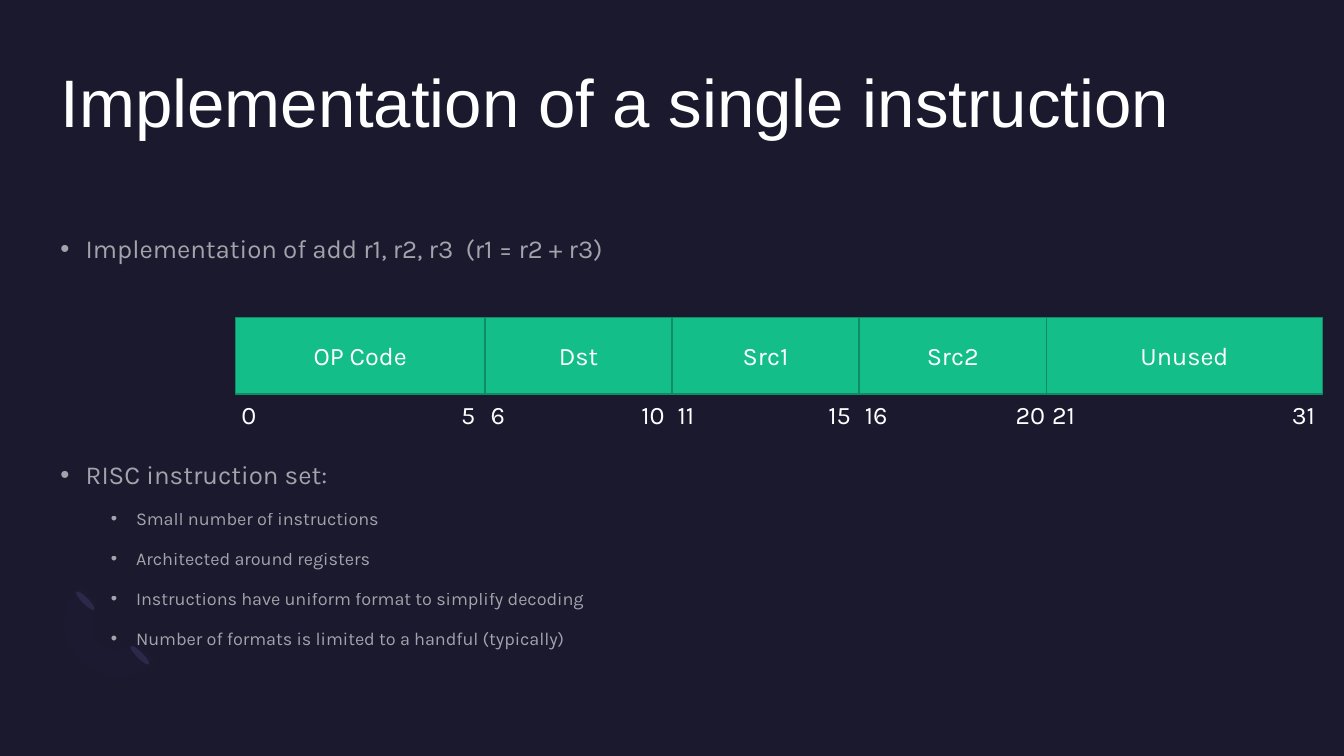
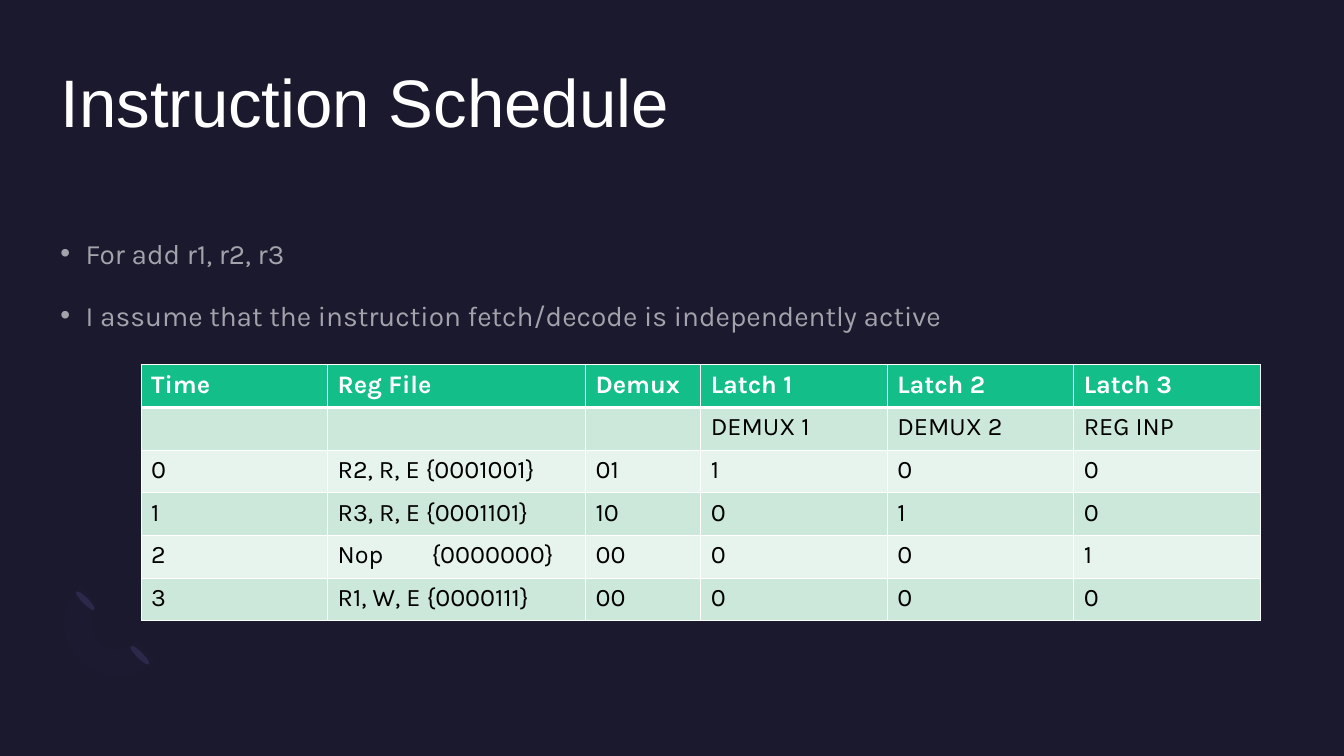
from dataclasses import dataclass
from math import cos, radians, sin

from lxml import etree
from pptx import Presentation
from pptx.dml.color import RGBColor
from pptx.enum.shapes import MSO_SHAPE
from pptx.enum.text import MSO_ANCHOR, MSO_AUTO_SIZE, PP_ALIGN
from pptx.oxml.ns import qn
from pptx.util import Pt

RECTANGLE, OVAL = MSO_SHAPE.RECTANGLE, MSO_SHAPE.OVAL
TOP, MIDDLE = MSO_ANCHOR.TOP, MSO_ANCHOR.MIDDLE
LEFT, CENTER = PP_ALIGN.LEFT, PP_ALIGN.CENTER
NO_AUTOFIT = MSO_AUTO_SIZE.NONE


@dataclass(frozen=True)
class Theme:
    """Colours, fonts and type sizes of the deck."""
    background: str = "1B192E"
    tube_end: str = "2C284A"
    tube: str = "7771B2"
    accent: str = "13BE89"
    accent_edge: str = "0E8D65"
    light: str = "FFFFFF"
    dark: str = "000000"
    bands: tuple = ("CCE8DA", "E7F4ED")
    title_font: str = "Arial"
    font: str = "Karla"
    title_size: float = 48
    text_size: float = 18
    sub_size: float = 12.9
    bullet_alpha: int = 60


THEME = Theme()
TITLE_BOX = (43.2, 43.2, 873.6, 105)
BODY_BOX = (43.2, 166.3, 873.6, 313.2)


def points(*lengths):
    """Convert numbers to point lengths."""
    return [Pt(length) for length in lengths]


def set_alpha(fill, percent):
    """Make a solid fill or font fill partly transparent."""
    color = fill._xPr.find(qn("a:solidFill"))[0]
    etree.SubElement(color, qn("a:alpha"), val=str(percent * 1000))


def write(paragraph, text, size=THEME.text_size, font=THEME.font,
          color=THEME.light, bold=False, alpha=None, align=LEFT):
    """Add formatted text to a paragraph."""
    paragraph.alignment = align
    run = paragraph.add_run()
    run.text = text
    run.font.size, run.font.name, run.font.bold = Pt(size), font, bold
    run.font.color.rgb = RGBColor.from_string(color)
    if alpha:
        set_alpha(run.font.fill, alpha)


def paint(shape, color, edge=None):
    """Give a shape a flat fill and an optional thin edge."""
    shape.shadow.inherit = False
    shape.fill.solid()
    shape.fill.fore_color.rgb = RGBColor.from_string(color)
    if edge:
        shape.line.color.rgb = RGBColor.from_string(edge)
        shape.line.width = Pt(1)
    else:
        shape.line.fill.background()


def fit_placeholder(placeholder, box):
    """Move a placeholder to a box and return its cleared text frame."""
    (placeholder.left, placeholder.top,
     placeholder.width, placeholder.height) = points(*box)
    frame = placeholder.text_frame
    frame.margin_left = frame.margin_right = 0
    frame.margin_top = frame.margin_bottom = 0
    frame.word_wrap = True
    frame.auto_size = NO_AUTOFIT
    frame.vertical_anchor = TOP
    return frame


def decorate_layout(layout, slide, center_x, center_y):
    """Put the background and the bent tube on the layout, drawn via a slide."""
    layout.background.fill.solid()
    layout.background.fill.fore_color.rgb = RGBColor.from_string(THEME.background)

    def arc(radius, angles):
        return [(center_x + radius * cos(radians(a)),
                 center_y + radius * sin(radians(a))) for a in angles]

    outline = arc(38, range(45, 226, 10)) + arc(19, range(225, 44, -10))
    builder = slide.shapes.build_freeform(*outline[0], scale=Pt(1))
    builder.add_line_segments(outline[1:], close=True)
    tube = builder.convert_to_shape()
    paint(tube, THEME.tube)
    set_alpha(tube.fill, 2)
    parts = [tube]
    width, height = 4.5, 18.5
    for x, y in arc(27.5, (45, 225)):
        tube_end = slide.shapes.add_shape(
            OVAL, *points(x - 3.5 - width / 2, y + 3.5 - height / 2, width, height))
        tube_end.rotation = 135
        paint(tube_end, THEME.tube_end)
        parts.append(tube_end)
    for part in parts:
        layout.shapes.element.append(part.element)


def add_title(slide, text, box=TITLE_BOX):
    """Fill the title placeholder."""
    frame = fit_placeholder(slide.shapes.title, box)
    write(frame.paragraphs[0], text, size=THEME.title_size, font=THEME.title_font)


def add_bullets(slide, items, size, line_spacing=1.0, box=BODY_BOX):
    """Fill the body placeholder with (level, text, space before) items."""
    frame = fit_placeholder(slide.placeholders[1], box)
    for index, (level, text, before) in enumerate(items):
        paragraph = frame.add_paragraph() if index else frame.paragraphs[0]
        paragraph.level = level
        paragraph.line_spacing = line_spacing
        paragraph.space_before, paragraph.space_after = points(before, 8)
        write(paragraph, text, size=THEME.sub_size if level else size,
              alpha=THEME.bullet_alpha)
        properties = paragraph._p.get_or_add_pPr()
        properties.set("marL", str(Pt(18 + 36 * level)))
        properties.set("indent", str(-Pt(18)))
        etree.SubElement(properties, qn("a:buFont"), typeface="Arial")
        etree.SubElement(properties, qn("a:buChar"), char="•")


def add_bit_number(slide, number, left, top):
    """Place one bit number below the instruction word."""
    width = 24 if number < 10 else 39
    label = slide.shapes.add_textbox(*points(left, top, width, 29))
    label.text_frame.word_wrap = True
    write(label.text_frame.paragraphs[0], str(number))


def add_instruction_word(slide, fields, left, top, height):
    """Draw the (name, width, first bit, last bit) fields side by side."""
    for name, width, first, last in fields:
        field = slide.shapes.add_shape(RECTANGLE, *points(left, top, width, height))
        paint(field, THEME.accent, THEME.accent_edge)
        field.text_frame.vertical_anchor = MIDDLE
        write(field.text_frame.paragraphs[0], name, align=CENTER)
        right = left + width
        add_bit_number(slide, first, left - 3, top + height)
        add_bit_number(slide, last, right - (24 if last < 10 else 29), top + height)
        left = right


def set_borders(cell, top, bottom):
    """Draw white cell borders, with the given top and bottom weights."""
    properties = cell._tc.get_or_add_tcPr()
    for side, weight in (("L", 1), ("R", 1), ("T", top), ("B", bottom)):
        line = etree.SubElement(properties, qn("a:ln" + side), w=str(Pt(weight)))
        fill = etree.SubElement(line, qn("a:solidFill"))
        etree.SubElement(fill, qn("a:srgbClr"), val=THEME.light)


def add_tab_stop(paragraph, position):
    """Add a left tab stop to a paragraph."""
    stops = etree.SubElement(paragraph._p.get_or_add_pPr(), qn("a:tabLst"))
    etree.SubElement(stops, qn("a:tab"), pos=str(Pt(position)), algn="l")


def add_schedule(slide, rows, widths, left, top, row_height):
    """Draw the schedule with a header row and banded rows."""
    table = slide.shapes.add_table(
        len(rows), len(widths),
        *points(left, top, sum(widths), row_height * len(rows))).table
    table.horz_banding = False
    for column, width in zip(table.columns, widths):
        column.width = Pt(width)
    for r, row in enumerate(rows):
        table.rows[r].height = Pt(row_height)
        header = r == 0
        color = THEME.accent if header else THEME.bands[(r - 1) % 2]
        for c, text in enumerate(row):
            cell = table.cell(r, c)
            set_borders(cell, top=3 if r == 1 else 1, bottom=3 if header else 1)
            cell.fill.solid()
            cell.fill.fore_color.rgb = RGBColor.from_string(color)
            paragraph = cell.text_frame.paragraphs[0]
            if text:
                write(paragraph, text, bold=header,
                      color=THEME.light if header else THEME.dark)
            if "\t" in text:
                add_tab_stop(paragraph, 67)


def build_instruction_slide(slide):
    """Fill the slide on the instruction format."""
    add_title(slide, "Implementation of a single instruction")
    add_bullets(slide, [
        (0, "Implementation of add r1, r2, r3  (r1 = r2 + r3)", 10),
        (0, "RISC instruction set:", 131),
        (1, "Small number of instructions", 5),
        (1, "Architected around registers", 5),
        (1, "Instructions have uniform format to simplify decoding", 5),
        (1, "Number of formats is limited to a handful (typically)", 5),
    ], size=18.5)
    add_instruction_word(slide, [
        ("OP Code", 178, 0, 5), ("Dst", 133.7, 6, 10), ("Src1", 133.7, 11, 15),
        ("Src2", 133.7, 16, 20), ("Unused", 197.3, 21, 31),
    ], left=168.3, top=226.8, height=54.7)


def build_schedule_slide(slide):
    """Fill the slide on the instruction schedule."""
    add_title(slide, "Instruction Schedule")
    add_bullets(slide, [
        (0, "For add r1, r2, r3", 10),
        (0, "I assume that the instruction fetch/decode is independently active", 10),
    ], size=20, line_spacing=1.1)
    latch = 133.25
    add_schedule(slide, [
        ("Time", "Reg File", "Demux", "Latch 1", "Latch 2", "Latch 3"),
        ("", "", "", "DEMUX 1", "DEMUX 2", "REG INP"),
        ("0", "R2, R, E {0001001}", "01", "1", "0", "0"),
        ("1", "R3, R, E {0001101}", "10", "0", "1", "0"),
        ("2", "Nop\t{0000000}", "00", "0", "0", "1"),
        ("3", "R1, W, E {0000111}", "00", "0", "0", "0"),
    ], widths=[latch, 184.25, 82.25, latch, latch, latch],
        left=100.8, top=260.6, row_height=30.5)


def main():
    """Build and save the deck."""
    deck = Presentation()
    deck.slide_width, deck.slide_height = points(960, 540)
    layout = deck.slide_layouts[1]
    slides = [deck.slides.add_slide(layout) for _ in range(2)]
    decorate_layout(layout, slides[0], center_x=83.9, center_y=445)
    build_instruction_slide(slides[0])
    build_schedule_slide(slides[1])
    deck.save("out.pptx")


main()
